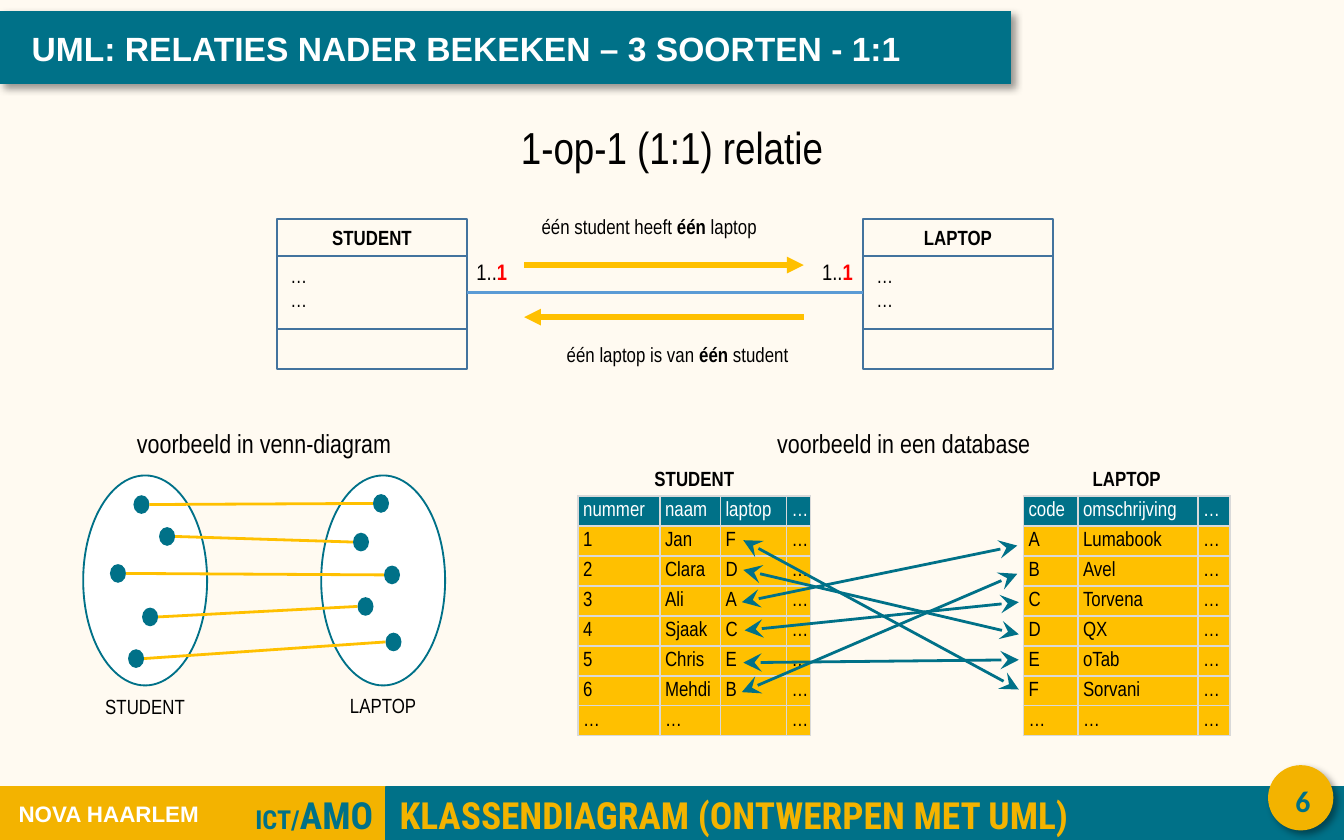
import pptx
import pptx.util
import pptx.dml.color
import pptx.enum.shapes
import pptx.enum.text
import pptx.oxml
import pptx.oxml.ns
import lxml.etree

Pt = pptx.util.Pt
RGB = pptx.dml.color.RGBColor.from_string
qn = pptx.oxml.ns.qn
LEFT = pptx.enum.text.PP_ALIGN.LEFT
CENTER = pptx.enum.text.PP_ALIGN.CENTER
RIGHT = pptx.enum.text.PP_ALIGN.RIGHT
MIDDLE = pptx.enum.text.MSO_ANCHOR.MIDDLE
RECTANGLE = pptx.enum.shapes.MSO_SHAPE.RECTANGLE
OVAL = pptx.enum.shapes.MSO_SHAPE.OVAL
STRAIGHT = pptx.enum.shapes.MSO_CONNECTOR.STRAIGHT
COLORS = {"cream": "FFFAF1", "teal": "007188", "gold": "F3B300", "amber": "FFC000",
          "white": "FFFFFF", "black": "000000", "red": "FF0000", "grid": "D9D9D9",
          "frame": "43739E", "blue": "5B9BD5"}

deck = pptx.Presentation()
deck.slide_width, deck.slide_height = Pt(720), Pt(450)
slide = deck.slides.add_slide(deck.slide_layouts[5])
slide.background.fill.solid()
slide.background.fill.fore_color.rgb = RGB(COLORS["cream"])


def draw(kind, x, y, width, height, fill=None, line=None):
    shape = slide.shapes.add_shape(kind, Pt(x), Pt(y), Pt(width), Pt(height))
    shape.shadow.inherit = False
    if fill:
        shape.fill.solid()
        shape.fill.fore_color.rgb = RGB(COLORS[fill])
    else:
        shape.fill.background()
    if line:
        shape.line.color.rgb = RGB(COLORS[line])
        shape.line.width = Pt(1)
    else:
        shape.line.fill.background()
    return shape


def write(frame, text, size=11, color="black", align=LEFT, bold=False, font="Arial Narrow"):
    for index, line in enumerate(text.split("\n")):
        paragraph = frame.add_paragraph() if index else frame.paragraphs[0]
        paragraph.alignment = align
        paragraph.font.size = Pt(size)
        paragraph.font.name = font
        paragraph.font.bold = bold
        paragraph.font.color.rgb = RGB(COLORS[color])
        for part in line.split("|"):
            if part:
                paragraph.add_run().text = part
    return frame.paragraphs[0].runs


banner = slide.shapes.title
banner.left, banner.top, banner.width, banner.height = Pt(0), Pt(6), Pt(541.5), Pt(39)
banner.fill.solid()
banner.fill.fore_color.rgb = RGB(COLORS["teal"])
banner.text_frame.auto_size = pptx.enum.text.MSO_AUTO_SIZE.NONE
banner.text_frame.vertical_anchor = MIDDLE
banner.text_frame.margin_left, banner.text_frame.margin_right = Pt(17), Pt(0)
write(banner.text_frame, "UML: RELATIES NADER BEKEKEN – 3 SOORTEN - 1:1", 18, "white", LEFT, True, "Arial")

draw(RECTANGLE, 0, 421.7, 207, 28.5, "gold", "gold")
draw(RECTANGLE, 207, 421.7, 513, 28.5, "teal", "teal")
badge = draw(OVAL, 679.8, 410.4, 34, 34, "gold", "gold")
for raised in (banner, badge):
    raised.shadow.inherit = False
    effects = raised.element.spPr.find(qn("a:effectLst"))
    shade = lxml.etree.SubElement(effects, qn("a:outerShdw"), blurRad=str(Pt(4)), dist=str(Pt(3)),
                                  dir="2700000", algn="tl", rotWithShape="0")
    tint = lxml.etree.SubElement(shade, qn("a:srgbClr"), val=COLORS["black"])
    lxml.etree.SubElement(tint, qn("a:alpha"), val="40000")

attributes = []
for x, entity in ((148.5, "STUDENT"), (462.4, "LAPTOP")):
    heading = draw(RECTANGLE, x, 117.3, 101.7, 19.8, line="frame")
    heading.text_frame.vertical_anchor = MIDDLE
    write(heading.text_frame, entity, align=CENTER, bold=True)
    fields = draw(RECTANGLE, x, 137.1, 101.7, 39.3, line="frame")
    fields.text_frame.vertical_anchor = pptx.enum.text.MSO_ANCHOR.TOP
    write(fields.text_frame, "…\n…")
    attributes.append(fields)
    draw(RECTANGLE, x, 176.4, 101.7, 21.5, line="frame")

student_dots = [(75.8, 270.3), (89.5, 287.4), (63.2, 307.2), (80.4, 330.5), (72.9, 352.8)]
laptop_dots = [(204.1, 269.7), (193.4, 290.4), (210, 308), (195.8, 324.9), (210.8, 343.9)]
for x, dots in ((44.6, student_dots), (172.1, laptop_dots)):
    draw(OVAL, x, 254.7, 66.4, 112.5, "white", "teal")
    for dot_x, dot_y in dots:
        draw(OVAL, dot_x - 4.3, dot_y - 5, 8.6, 10, "teal")

labels = [
    (0, 424, 207, 24.5, "ICT/|AMO", 14, "teal", RIGHT, True, "Roboto Condensed"),
    (207, 424, 513, 24.5, "KLASSENDIAGRAM (ONTWERPEN MET UML)", 20, "gold", LEFT, True, "Roboto Condensed"),
    (676.8, 415.4, 42.5, 27, "6", 16, "teal", CENTER, True, "Calibri"),
    (0, 422, 116.6, 28, "NOVA HAARLEM", 12, "white", CENTER, True, "Arial"),
    (0, 60.5, 720, 36, "1-op-1 (1:1) relatie", 24, "black", CENTER),
    (280.8, 111, 134, 20.6, "één student heeft |één| laptop", 11, "black", CENTER),
    (296, 179.4, 134, 20.6, "één laptop is van |één| student", 11, "black", CENTER),
    (248.2, 134.8, 36, 21.6, "1..|1", 12),
    (433.4, 134.8, 36, 21.6, "1..|1", 12),
    (44.6, 225.5, 193.9, 24.2, "voorbeeld in venn-diagram", 14, "black", CENTER),
    (309.6, 225.5, 349.2, 24.2, "voorbeeld in een database", 14, "black", CENTER),
    (44.6, 368.2, 66.4, 20.6, "STUDENT", 11, "black", CENTER),
    (172.1, 367.6, 66.4, 20.6, "LAPTOP", 11, "black", CENTER),
]
for x, y, width, height, text, *style in labels:
    frame = slide.shapes.add_textbox(Pt(x), Pt(y), Pt(width), Pt(height)).text_frame
    frame.word_wrap = True
    frame.vertical_anchor = MIDDLE
    frame.margin_top = frame.margin_bottom = Pt(0)
    runs = write(frame, text, *style)
    if len(runs) > 1:
        runs[1].font.bold = True
    if text == "1..|1":
        runs[1].font.color.rgb = RGB(COLORS["red"])
    if text == "ICT/|AMO":
        runs[1].font.size = Pt(20)

student_rows = ["nummer naam laptop …", "1 Jan F …", "2 Clara D …", "3 Ali A …", "4 Sjaak C …",
                "5 Chris E …", "6 Mehdi B …", "… …  …"]
laptop_rows = ["code omschrijving …", "A Lumabook …", "B Avel …", "C Torvena …", "D QX …",
               "E oTab …", "F Sorvani …", "… … …"]
databases = [(309.7, "STUDENT", (43.9, 32.4, 35.4, 12.9), student_rows),
             (548.3, "LAPTOP", (29.2, 64.3, 17.1), laptop_rows)]
for x, entity, widths, rows in databases:
    table = slide.shapes.add_table(len(rows) + 1, len(widths), Pt(x), Pt(249.7),
                                   Pt(sum(widths)), Pt(16.05 * (len(rows) + 1))).table
    table.first_row = table.horz_banding = False
    style_id = table._tbl.tblPr.find(qn("a:tableStyleId"))
    style_id.text = "{2D5ABB26-0587-4C30-8999-92F81FD0307C}"
    for column, width in zip(table.columns, widths):
        column.width = Pt(width)
    table.cell(0, 0).merge(table.cell(0, len(widths) - 1))
    grid = [[entity] + [""] * (len(widths) - 1)] + [row.split(" ") for row in rows]
    for r, values in enumerate(grid):
        table.rows[r].height = Pt(16.05)
        for c, value in enumerate(values):
            cell = table.cell(r, c)
            cell.vertical_anchor = MIDDLE
            cell.margin_left = cell.margin_right = Pt(2.7)
            cell.margin_top = cell.margin_bottom = Pt(1.35)
            for side in ("lnL", "lnR", "lnT", "lnB") if r else ("lnB",):
                border = lxml.etree.SubElement(cell._tc.get_or_add_tcPr(), qn("a:" + side), w=str(Pt(1)))
                solid = lxml.etree.SubElement(border, qn("a:solidFill"))
                lxml.etree.SubElement(solid, qn("a:srgbClr"), val=COLORS["grid"])
            if r:
                cell.fill.solid()
                cell.fill.fore_color.rgb = RGB(COLORS["teal" if r == 1 else "amber"])
            else:
                cell.fill.background()
            write(cell.text_frame, value, color="white" if r == 1 else "black",
                  align=LEFT if r else CENTER, bold=r == 0)

links = [((sx + 4.3, sy), (lx - 4.3, ly), "amber", 1.5, {})
         for (sx, sy), (lx, ly) in zip(student_dots, laptop_dots)]
links += [((280.8, 142), (430.6, 142), "amber", 3, {"tailEnd": ("triangle", "med")}),
          ((430.6, 169.9), (280.8, 169.9), "amber", 3, {"tailEnd": ("triangle", "med")})]
key_ends = [(398.2, 289.4, 545.8, 369.4), (398.2, 305.3, 545.8, 339.8), (397.4, 322.6, 545, 292.3),
            (398.9, 337.7, 545.8, 322.6), (398.2, 355, 545.8, 353.5), (397.4, 370.8, 545, 307.4)]
both_ends = {"headEnd": ("stealth", "lg"), "tailEnd": ("stealth", "lg")}
links += [((x1, y1), (x2, y2), "teal", 1.5, both_ends) for x1, y1, x2, y2 in key_ends]
links.append(((250.2, 156.7), (462.4, 156.7), "blue", 1.5, {}))
for start, end, color, width, arrowheads in links:
    link = slide.shapes.add_connector(STRAIGHT, Pt(start[0]), Pt(start[1]), Pt(end[0]), Pt(end[1]))
    link.line.color.rgb = RGB(COLORS[color])
    link.line.width = Pt(width)
    for tag, (kind, size) in arrowheads.items():
        lxml.etree.SubElement(link.line._get_or_add_ln(), qn("a:" + tag), type=kind, w=size, len=size)
    lxml.etree.SubElement(link._element.spPr, qn("a:effectLst"))
    if color == "blue":
        link.begin_connect(attributes[0], 3)
        link.end_connect(attributes[1], 1)

deck.save("out.pptx")
